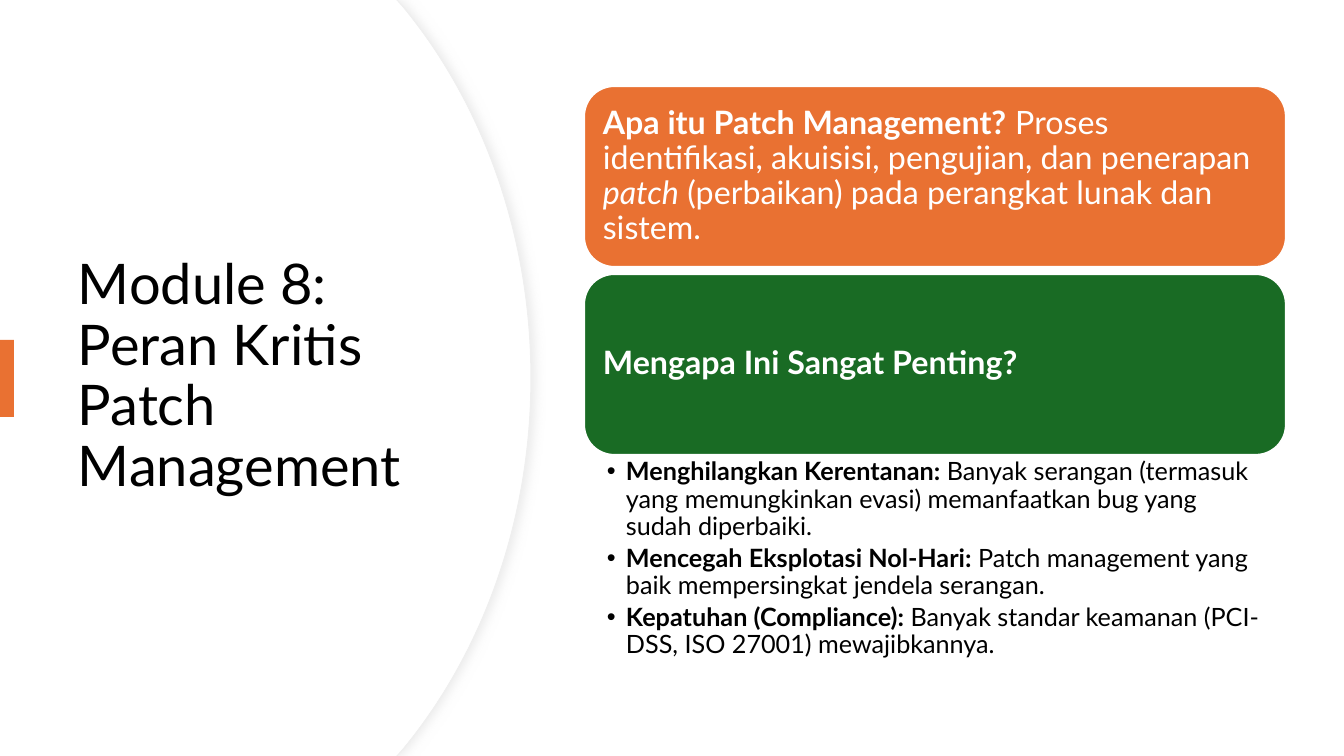
from lxml.etree import SubElement
from pptx import Presentation
from pptx.dml.color import RGBColor
from pptx.enum.shapes import MSO_SHAPE
from pptx.enum.text import MSO_ANCHOR, MSO_AUTO_SIZE, PP_ALIGN
from pptx.oxml import parse_xml
from pptx.oxml.ns import nsdecls, qn
from pptx.util import Pt

SCALE = 12192000 / 1344  # EMU per px
WIDTH, HEIGHT = 1344, 756
FONT = "Lato"
COLORS = {
    "white": "FFFFFF",
    "black": "000000",
    "orange": "E97132",
    "green": "196B24",
    "edge": "EFEFEF",
    "shadow": "D9D9D9",
}

TITLE = "Module 8: Peran Kritis Patch Management"
# Each run is (text, style), where the style holds "b" and/or "i"
CARDS = [
    ("orange", [
        ("Apa itu Patch Management?", "b"),
        (" Proses identifikasi, akuisisi, pengujian, dan penerapan ", ""),
        ("patch", "i"),
        (" (perbaikan) pada perangkat lunak dan sistem.", ""),
    ]),
    ("green", [("Mengapa Ini Sangat Penting?", "b")]),
]
REASONS = [
    ("Menghilangkan Kerentanan:",
     " Banyak serangan (termasuk yang memungkinkan evasi) memanfaatkan bug yang sudah diperbaiki."),
    ("Mencegah Eksplotasi Nol-Hari:",
     " Patch management yang baik mempersingkat jendela serangan."),
    ("Kepatuhan (Compliance):",
     " Banyak standar keamanan (PCI-DSS, ISO 27001) mewajibkannya."),
]


def px(length):
    return round(length * SCALE)


def color(name):
    return RGBColor.from_string(COLORS[name])


def place(shape, left, top, width, height):
    shape.left, shape.top = px(left), px(top)
    shape.width, shape.height = px(width), px(height)


def set_frame(shape, anchor, insets):
    frame = shape.text_frame
    frame.word_wrap = True
    frame.auto_size = MSO_AUTO_SIZE.NONE
    frame.vertical_anchor = anchor
    frame.margin_left, frame.margin_top, frame.margin_right, frame.margin_bottom = map(px, insets)
    return frame


def write_runs(paragraph, runs, size, color_name):
    paragraph.alignment = PP_ALIGN.LEFT
    paragraph.line_spacing = 0.9
    paragraph.space_before = Pt(0)
    for text, style in runs:
        run = paragraph.add_run()
        run.text = text
        font = run.font
        font.name, font.size = FONT, Pt(size)
        font.bold, font.italic = "b" in style, "i" in style
        font.color.rgb = color(color_name)


def paint(shape, fill, line=None, line_width=0.75):
    shape.shadow.inherit = False
    shape.fill.solid()
    shape.fill.fore_color.rgb = color(fill)
    if line:
        shape.line.color.rgb = color(line)
        shape.line.width = Pt(line_width)
    else:
        shape.line.fill.background()


def add_shadow(shape):
    effects = shape._element.spPr.find(qn("a:effectLst"))
    effects.append(parse_xml(
        f'<a:outerShdw {nsdecls("a")} blurRad="{Pt(7)}" dist="{Pt(3)}" dir="0" algn="l" rotWithShape="0">'
        f'<a:srgbClr val="{COLORS["shadow"]}"><a:alpha val="50000"/></a:srgbClr></a:outerShdw>'))


def bend(shape, first, count):
    """Turn line segments, three at a time, into cubic curves."""
    lines = list(shape._element.iter(qn("a:lnTo")))
    for start in range(first, first + 3 * count, 3):
        curve = lines[start]
        curve.tag = qn("a:cubicBezTo")
        for line in lines[start + 1:start + 3]:
            curve.append(line[0])
            line.getparent().remove(line)


def add_panel(slide, width, height):
    """White panel with a bulging right edge, behind the title."""
    corner = width - 134
    upper = [(width - 127, 8), (width - 49, 103), (width, 234)]
    lower = [(x, height - y) for x, y in reversed(upper)]
    outline = [(corner, 0), *upper, (width, height / 2), *lower, (corner, height), (0, height)]
    builder = slide.shapes.build_freeform(0, 0, scale=SCALE)
    builder.add_line_segments(outline, close=True)
    panel = builder.convert_to_shape()
    bend(panel, first=2, count=2)
    slide.shapes.title._element.addprevious(panel._element)
    return panel


def add_title(slide, left, top, width, height):
    # Curved panel: a shadowed outline, then a plain face over it
    outline = add_panel(slide, 531, HEIGHT)
    paint(outline, "white", "edge")
    add_shadow(outline)
    paint(add_panel(slide, 530, HEIGHT), "white")

    # Title
    title = slide.shapes.title
    place(title, left, top, width, height)
    frame = set_frame(title, MSO_ANCHOR.MIDDLE, (10, 5, 10, 5))
    write_runs(frame.paragraphs[0], [(TITLE, "")], 40, "black")

    # Accent tab at the slide's edge
    tab = slide.shapes.add_shape(MSO_SHAPE.RECTANGLE, 0, 0, 0, 0)
    place(tab, 0, 340, 14, 77)
    paint(tab, "orange")


def add_cards(slide, left, top, width, card_height, gap):
    for index, (fill, runs) in enumerate(CARDS):
        card = slide.shapes.add_shape(MSO_SHAPE.ROUNDED_RECTANGLE, 0, 0, 0, 0)
        place(card, left, top + index * (card_height + gap), width, card_height)
        paint(card, fill, "white", 1.5)
        frame = set_frame(card, MSO_ANCHOR.MIDDLE, (10, 10, 10, 10))
        write_runs(frame.paragraphs[0], runs, 23, "white")


def add_reasons(slide, left, top, width, height):
    body = slide.placeholders[1]
    place(body, left, top, width, height)
    frame = set_frame(body, MSO_ANCHOR.TOP, (22, 3, 18, 3))
    for index, (heading, detail) in enumerate(REASONS):
        paragraph = frame.add_paragraph() if index else frame.paragraphs[0]
        properties = paragraph._p.get_or_add_pPr()
        properties.set("marL", str(px(19)))
        properties.set("indent", str(px(-19)))
        SubElement(properties, qn("a:buFont"), typeface="Arial")
        SubElement(properties, qn("a:buChar"), char="•")
        write_runs(paragraph, [(heading, "b"), (detail, "")], 18, "black")
        paragraph.space_after = Pt(3.5)


def main():
    presentation = Presentation()
    presentation.slide_width, presentation.slide_height = px(WIDTH), px(HEIGHT)
    slide = presentation.slides.add_slide(presentation.slide_layouts[1])
    add_title(slide, 68, 128, 397, 499)
    add_cards(slide, 584, 86, 702, card_height=181, gap=7)
    add_reasons(slide, 585, 456, 702, 215)
    presentation.save("out.pptx")


if __name__ == "__main__":
    main()
